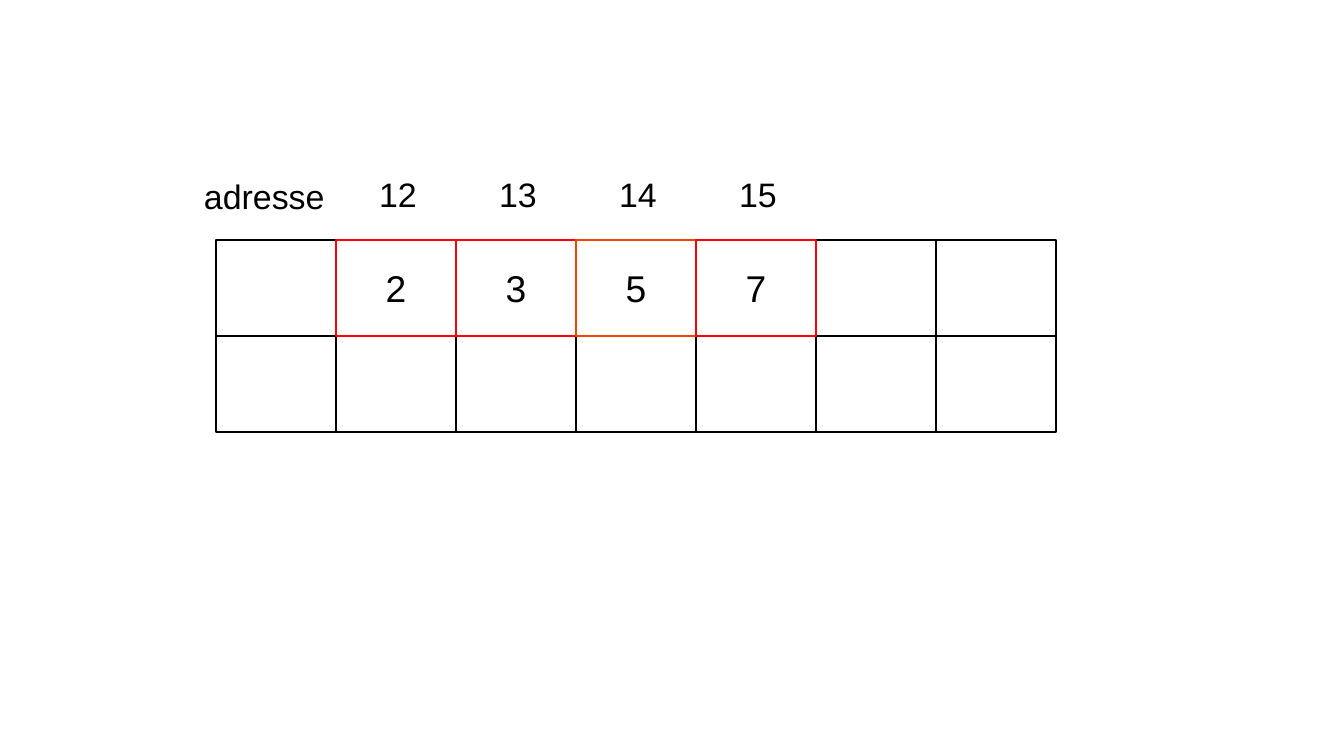
from pptx import Presentation
from pptx.dml.color import RGBColor
from pptx.enum.shapes import MSO_SHAPE
from pptx.enum.text import MSO_ANCHOR, MSO_AUTO_SIZE, PP_ALIGN
from pptx.util import Cm, Pt

RECT = MSO_SHAPE.RECTANGLE
MIDDLE = MSO_ANCHOR.MIDDLE
GROW = MSO_AUTO_SIZE.SHAPE_TO_FIT_TEXT
CENTER = PP_ALIGN.CENTER

COLUMNS, ROWS = 7, 2
CELL_W, CELL_H = 2.5, 2
GRID_X, GRID_Y = 4.5, 5
LABEL_X, LABEL_Y = 7.65, 3.5
ARRAY = [(12, 2, "FF0000"), (13, 3, "FF0000"), (14, 5, "FF4000"), (15, 7, "FF0000")]


def rgb(value):
    return RGBColor.from_string(value)


class MemorySlide:
    font = "Arial"
    ink = "000000"
    paper = "FFFFFF"

    def __init__(self, prs):
        self.s = prs.slides.add_slide(prs.slide_layouts[6])

    def set_text(self, tf, text, size):
        tf.text = text
        font = tf.paragraphs[0].runs[0].font
        font.name = self.font
        font.size = Pt(size)
        font.color.rgb = rgb(self.ink)

    def cell(self, column, row, border=ink, text=""):
        sp = self.s.shapes.add_shape(
            RECT, Cm(GRID_X + column * CELL_W), Cm(GRID_Y + row * CELL_H), Cm(CELL_W), Cm(CELL_H))
        sp.shadow.inherit = False
        sp.fill.solid()
        sp.fill.fore_color.rgb = rgb(self.paper)
        sp.line.color.rgb = rgb(border)
        sp.line.width = Pt(1.5)
        if text:
            tf = sp.text_frame
            tf.word_wrap = False
            tf.vertical_anchor = MIDDLE
            self.set_text(tf, text, 22)
            tf.paragraphs[0].alignment = CENTER

    def label(self, x, y, width, text, wrap=False):
        tf = self.s.shapes.add_textbox(Cm(x), Cm(y), Cm(width), Cm(1.04)).text_frame
        tf.word_wrap = wrap
        tf.auto_size = GROW
        self.set_text(tf, text, 20)


def main():
    prs = Presentation()
    prs.slide_width, prs.slide_height = Cm(28), Cm(15.75)
    memory = MemorySlide(prs)

    for row in range(ROWS):
        for column in range(COLUMNS):
            if row > 0 or not 1 <= column <= len(ARRAY):
                memory.cell(column, row)

    for column, (address, value, border) in enumerate(ARRAY, 1):
        memory.cell(column, 0, border, str(value))

    memory.label(4, 3.54, 3.5, "adresse", wrap=True)
    for i, (address, value, border) in enumerate(ARRAY):
        memory.label(LABEL_X + i * CELL_W, LABEL_Y, 1.3, str(address))

    prs.save("out.pptx")


if __name__ == "__main__":
    main()
